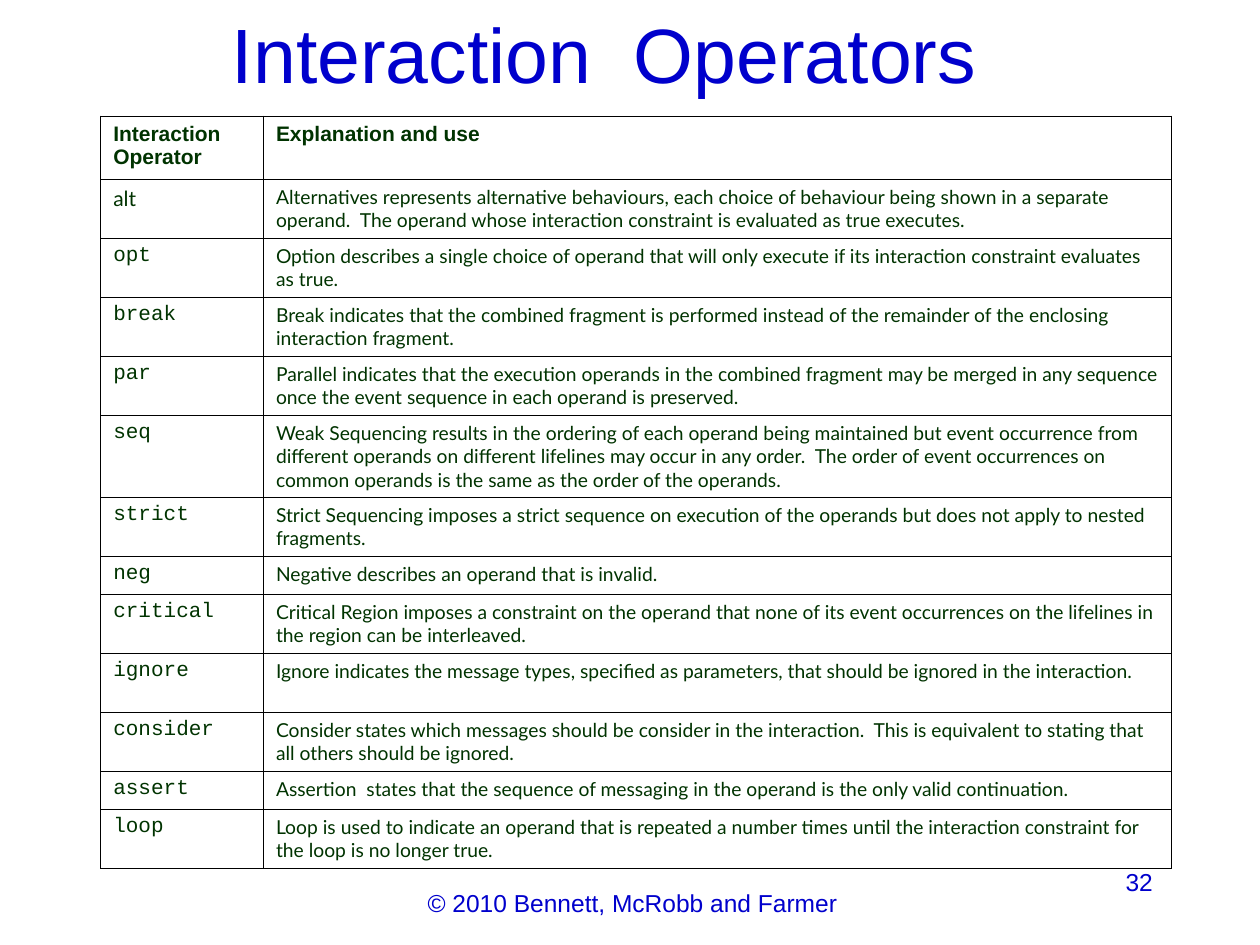
from dataclasses import dataclass

from lxml import etree
from pptx import Presentation
from pptx.dml.color import RGBColor
from pptx.enum.text import MSO_ANCHOR, PP_ALIGN
from pptx.oxml.ns import qn
from pptx.util import Cm, Pt

LEFT, CENTER, RIGHT = PP_ALIGN.LEFT, PP_ALIGN.CENTER, PP_ALIGN.RIGHT
TOP, MIDDLE = MSO_ANCHOR.TOP, MSO_ANCHOR.MIDDLE
BLANK_LAYOUT = 6


@dataclass(frozen=True)
class Theme:
    blue: RGBColor = RGBColor(0x00, 0x00, 0xCC)
    green: RGBColor = RGBColor(0x00, 0x33, 0x00)
    white: RGBColor = RGBColor(0xFF, 0xFF, 0xFF)
    border: str = "000000"
    border_width: float = 0.45
    heading_font: str = "Arial"
    body_font: str = "Lato"
    code_font: str = "Courier New"
    title_size: int = 44
    footer_size: int = 14
    label_size: int = 12
    body_size: int = 11


THEME = Theme()

# Row heights by the number of text lines they hold, in centimetres
ROW_HEIGHTS = {1: 0.76, 2: 1.19, 3: 1.65}
HEADER_HEIGHT = 1.27
COLUMN_WIDTHS = (3.28, 18.31)

HEADER = ("Interaction\nOperator", "Explanation and use")

# Operator, lines in its row, explanation
OPERATORS = [
    ("alt", 2, "Alternatives represents alternative behaviours, each choice of behaviour "
     "being shown in a separate operand.  The operand whose interaction constraint is "
     "evaluated as true executes."),
    ("opt", 2, "Option describes a single choice of operand that will only execute if its "
     "interaction constraint evaluates as true."),
    ("break", 2, "Break indicates that the combined fragment is performed instead of the "
     "remainder of the enclosing interaction fragment."),
    ("par", 2, "Parallel indicates that the execution operands in the combined fragment may "
     "be merged in any sequence once the event sequence in each operand is preserved."),
    ("seq", 3, "Weak Sequencing results in the ordering of each operand being maintained but "
     "event occurrence from different operands on different lifelines may occur in any "
     "order.  The order of event occurrences on common operands is the same as the order "
     "of the operands."),
    ("strict", 2, "Strict Sequencing imposes a strict sequence on execution of the operands "
     "but does not apply to nested  fragments."),
    ("neg", 1, "Negative describes an operand that is invalid."),
    ("critical", 2, "Critical Region imposes a constraint on the operand that none of its "
     "event occurrences on the lifelines in the region can be interleaved."),
    ("ignore", 2, "Ignore indicates the message types, specified as parameters, that should "
     "be ignored in the interaction."),
    ("consider", 2, "Consider states which messages should be consider in the interaction.  "
     "This is equivalent to stating that all others should be ignored."),
    ("assert", 1, "Assertion  states that the sequence of messaging in the operand is the "
     "only valid continuation."),
    ("loop", 2, "Loop is used to indicate an operand that is repeated a number times until "
     "the interaction constraint for the loop is no longer true."),
]


def write_text(frame, text, font_name, size, color, bold=False, alignment=LEFT):
    frame.text = text
    frame.word_wrap = True
    for paragraph in frame.paragraphs:
        paragraph.alignment = alignment
        font = paragraph.font
        font.name, font.size, font.bold = font_name, Pt(size), bold
        font.color.rgb = color


def add_label(slide, text, box, size, alignment, anchor=TOP):
    shape = slide.shapes.add_textbox(*(Cm(length) for length in box))
    write_text(shape.text_frame, text, THEME.heading_font, size, THEME.blue,
               alignment=alignment)
    shape.text_frame.vertical_anchor = anchor


def add_borders(cell):
    properties = cell._tc.get_or_add_tcPr()
    for side in ("a:lnL", "a:lnR", "a:lnT", "a:lnB"):
        line = etree.SubElement(properties, qn(side), w=str(Pt(THEME.border_width)))
        fill = etree.SubElement(line, qn("a:solidFill"))
        etree.SubElement(fill, qn("a:srgbClr"), val=THEME.border)


def fill_cell(cell, text, font_name, size, bold=False):
    add_borders(cell)
    cell.fill.solid()
    cell.fill.fore_color.rgb = THEME.white
    write_text(cell.text_frame, text, font_name, size, THEME.green, bold)


def add_operator_table(slide):
    heights = [HEADER_HEIGHT] + [ROW_HEIGHTS[lines] for _, lines, _ in OPERATORS]
    table = slide.shapes.add_table(
        len(heights), len(COLUMN_WIDTHS), Cm(2.03), Cm(2.34),
        Cm(sum(COLUMN_WIDTHS)), Cm(sum(heights))).table
    for column, width in zip(table.columns, COLUMN_WIDTHS):
        column.width = Cm(width)
    for row, height in zip(table.rows, heights):
        row.height = Cm(height)

    for index, heading in enumerate(HEADER):
        fill_cell(table.cell(0, index), heading, THEME.heading_font,
                  THEME.label_size, bold=True)
    for index, (operator, _, explanation) in enumerate(OPERATORS, start=1):
        # The first operator is set in the body font
        operator_font = THEME.body_font if index == 1 else THEME.code_font
        fill_cell(table.cell(index, 0), operator, operator_font, THEME.label_size)
        fill_cell(table.cell(index, 1), explanation, THEME.body_font, THEME.body_size)


def main():
    presentation = Presentation()
    presentation.slide_width, presentation.slide_height = Cm(25.4), Cm(19.05)
    slide = presentation.slides.add_slide(presentation.slide_layouts[BLANK_LAYOUT])

    # Footer and slide number
    add_label(slide, " © 2010 Bennett, McRobb and Farmer", (6.55, 17.78, 12.27, 1.27),
              THEME.footer_size, CENTER)
    add_label(slide, "32", (18.21, 17.35, 5.28, 1.27), THEME.footer_size, RIGHT)

    # Title and table
    add_label(slide, "Interaction  Operators", (0.76, 0, 22.86, 2.13),
              THEME.title_size, CENTER, MIDDLE)
    add_operator_table(slide)

    presentation.save("out.pptx")


if __name__ == "__main__":
    main()
